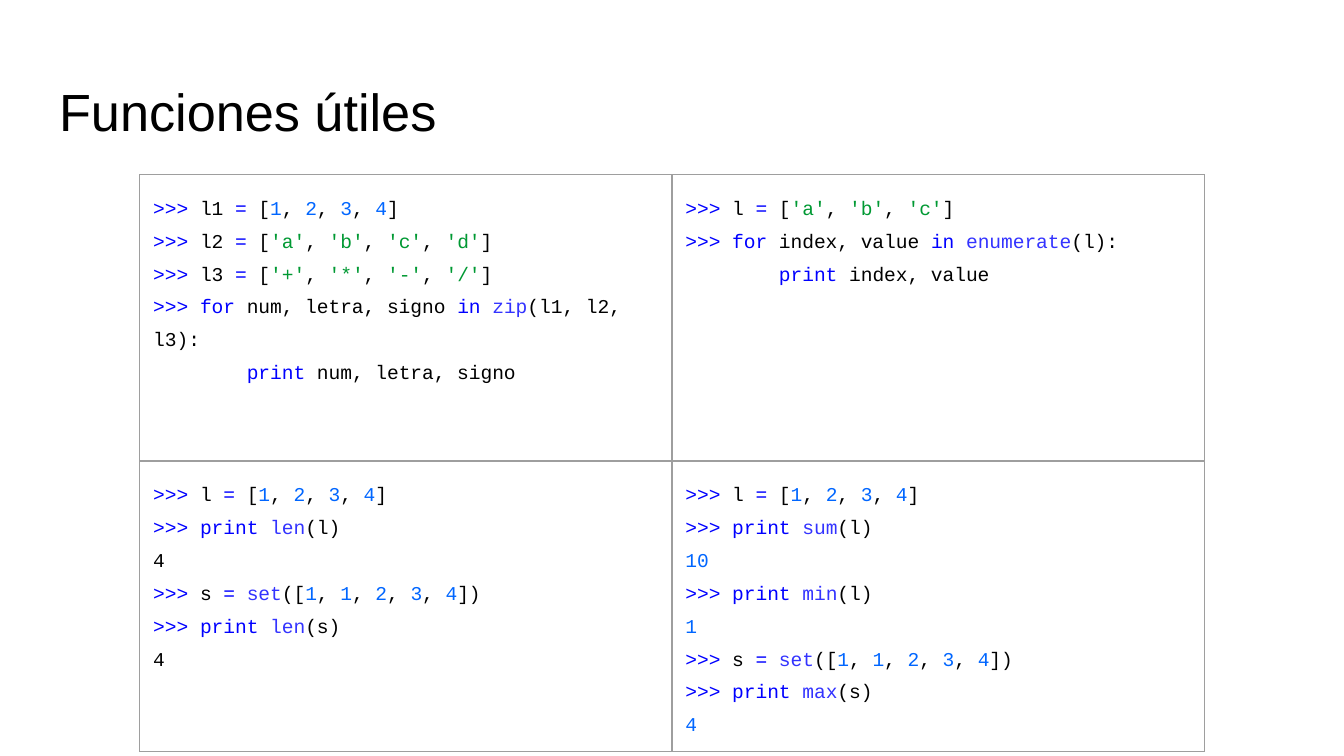
from copy import deepcopy
from itertools import groupby
from lxml import etree
from pptx import Presentation
from pptx.dml.color import RGBColor
from pptx.enum.text import MSO_ANCHOR, PP_ALIGN
from pptx.oxml.ns import qn
from pptx.util import Inches, Pt

TOP, LEFT = MSO_ANCHOR.TOP, PP_ALIGN.LEFT
BLACK, BLUE, NUMBER, TEXT, CALL, GREY = (
    "000000", "0000FF", "0066FF", "009933", "3333FF", "9E9E9E")
WORDS = dict.fromkeys(["for", "in", "print"], BLUE)
WORDS.update(dict.fromkeys(["zip", "enumerate", "len", "set", "sum", "min", "max"], CALL))

# Each cell: its code, with a blank line between paragraphs,
# and the colour of its output lines
CELLS = [
    [(""">>> l1 = [1, 2, 3, 4]
>>> l2 = ['a', 'b', 'c', 'd']
>>> l3 = ['+', '*', '-', '/']
>>> for num, letra, signo in zip(l1, l2, l3):
        print num, letra, signo""", BLACK),
     (""">>> l = ['a', 'b', 'c']
>>> for index, value in enumerate(l):
        print index, value""", BLACK)],
    [(""">>> l = [1, 2, 3, 4]
>>> print len(l)

4
>>> s = set([1, 1, 2, 3, 4])
>>> print len(s)

4""", BLACK),
     (""">>> l = [1, 2, 3, 4]

>>> print sum(l)
10
>>> print min(l)
1
>>> s = set([1, 1, 2, 3, 4])
>>> print max(s)
4""", NUMBER)],
]


def style(run, face, size, color):
    for key, value in {"name": face, "size": Pt(size), "bold": False}.items():
        setattr(run.font, key, value)
    run.font.color.rgb = RGBColor.from_string(color)


def tokens(line, shade):
    """Yield each piece of a code line with its colour."""
    if line.isdigit():
        yield line, shade
        return
    for i, part in enumerate(line.split("'")):
        if i % 2:
            yield f"'{part}'", TEXT
            continue
        for kind, chars in groupby(part, lambda c: "word" if c.isalnum() else c in ">="):
            piece = "".join(chars)
            if kind == "word":
                yield piece, NUMBER if piece.isdigit() else WORDS.get(piece, BLACK)
            else:
                yield piece, BLUE if kind else BLACK


prs = Presentation()
prs.slide_width = Inches(10)
prs.slide_height = prs.slide_width * 9 // 16
slide = prs.slides.add_slide(prs.slide_layouts[5])

title = slide.shapes.title
place = {"left": 0.34, "top": 0.49, "width": 9.32, "height": 0.63}
for key, value in place.items():
    setattr(title, key, Inches(value))
frame = title.text_frame
for side in ("left", "right", "top", "bottom"):
    setattr(frame, f"margin_{side}", Inches(0.1))
frame.vertical_anchor = TOP
para = frame.paragraphs[0]
para.alignment = LEFT
run = para.add_run()
run.text = "Funciones útiles"
style(run, "Arial", 28, BLACK)

table = slide.shapes.add_table(
    2, 2, Inches(1.04), Inches(1.3), Inches(7.92), Inches(4.29)).table
table.first_row = table.horz_banding = False
for row, height in zip(table.rows, [2.13, 2.16]):
    row.height = Inches(height)

for r, row in enumerate(CELLS):
    for c, (code, shade) in enumerate(row):
        cell = table.cell(r, c)
        cell.fill.background()
        cell.vertical_anchor = TOP
        for side in ("left", "right", "top", "bottom"):
            setattr(cell, f"margin_{side}", Inches(0.1))
        props = cell._tc.get_or_add_tcPr()
        for i, edge in enumerate(["lnL", "lnR", "lnT", "lnB"]):
            border = etree.Element(qn(f"a:{edge}"), w=str(Pt(0.75)))
            fill = etree.SubElement(border, qn("a:solidFill"))
            etree.SubElement(fill, qn("a:srgbClr"), val=GREY)
            props.insert(i, border)
        frame = cell.text_frame
        for i, block in enumerate(code.split("\n\n")):
            para = frame.add_paragraph() if i else frame.paragraphs[0]
            para.line_spacing = 1.5
            for j, line in enumerate(block.splitlines()):
                if j:
                    # A break takes the format of the run before it
                    para.add_line_break()
                    para._p[-1].append(deepcopy(run._r.rPr))
                for piece, color in tokens(line, shade):
                    run = para.add_run()
                    run.text = piece
                    style(run, "Courier New", 10.5, color)

prs.save("out.pptx")
